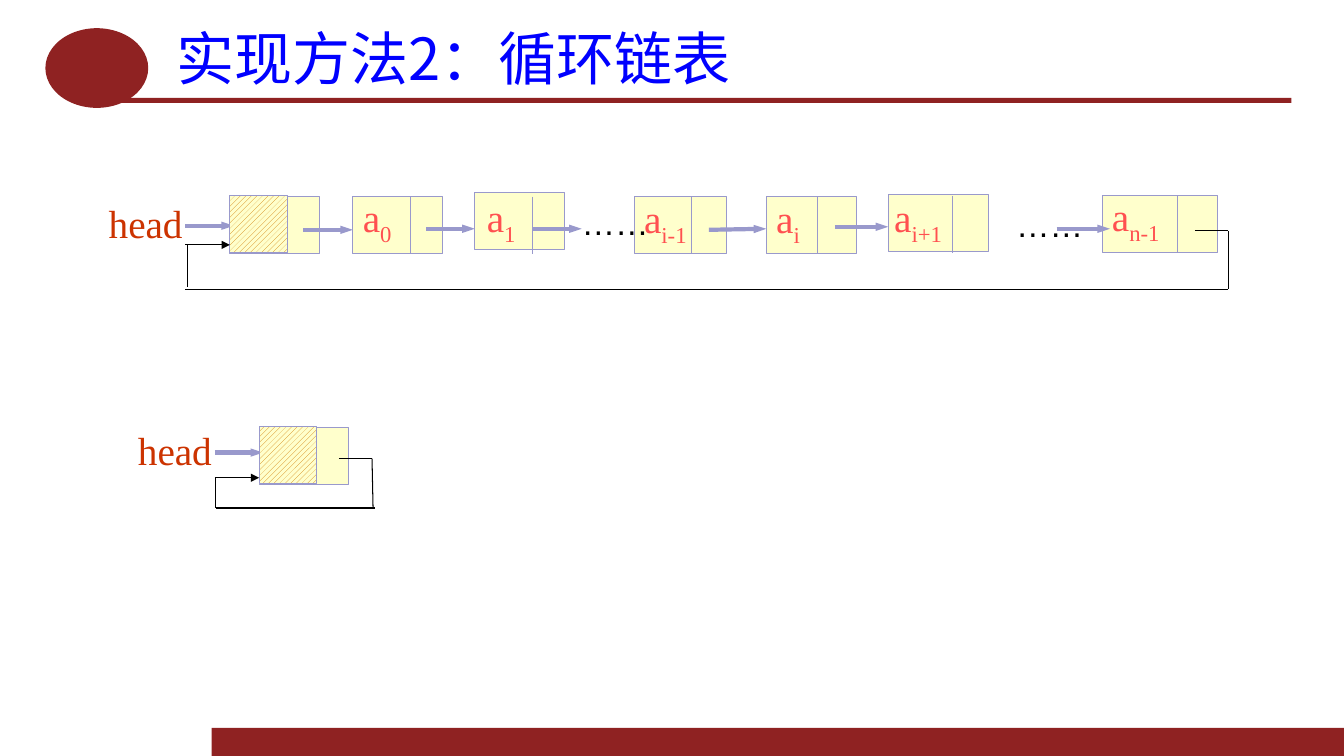
from lxml import etree
from pptx import Presentation
from pptx.dml.color import RGBColor
from pptx.enum.dml import MSO_PATTERN
from pptx.enum.shapes import MSO_CONNECTOR, MSO_SHAPE
from pptx.enum.text import MSO_ANCHOR, MSO_AUTO_SIZE, PP_ALIGN
from pptx.oxml.ns import qn
from pptx.util import Inches, Pt

RECTANGLE, OVAL = MSO_SHAPE.RECTANGLE, MSO_SHAPE.OVAL
STRAIGHT = MSO_CONNECTOR.STRAIGHT
HATCH = MSO_PATTERN.WIDE_UPWARD_DIAGONAL


class Theme:
    brand, title, head, label = "8F2222", "0000FF", "CC3300", "FF5050"
    cell, edge, hatch, ink = "FFFFCC", "9999CC", "D07E06", "000000"
    title_font, label_font, dots_font = "Noto Sans CJK SC", "Times New Roman", "Arial"
    title_size, label_size, dots_size = 41.4, 28, 24
    thin, thick = 0.75, 3


# Content: lengths in inches
TITLE = "实现方法2：循环链表"
DECORATION = [  # shape, left, top, width, height
    (RECTANGLE, 2.1, 7.22, 11.23, 0.28),
    (RECTANGLE, 1.18, 0.97, 11.63, 0.05),
    (OVAL, 0.45, 0.28, 1.02, 0.79),
]
CELL_HEIGHT, HEAD_WIDTH, HEAD_DATA_WIDTH = 0.57, 0.89, 0.57
HEAD_NODES = [  # node left, node top, label top
    (2.28, 1.95, 1.93),
    (2.57, 4.24, 4.18),
]
NODES = [  # index, left, top, width, divider x, divider top
    ("0", 3.5, 1.95, 0.89, 4.07, 1.95),
    ("1", 4.71, 1.91, 0.89, 5.28, 1.95),
    ("i-1", 6.29, 1.95, 0.92, 6.86, 1.95),
    ("i", 7.6, 1.95, 0.9, 8.11, 1.95),
    ("i+1", 8.81, 1.93, 0.99, 9.45, 1.94),
    ("n-1", 10.93, 1.94, 1.15, 11.68, 1.94),
]
LABELS = [  # index, left, top, width, wrap
    ("0", 3.5, 1.87, 0.51, False),
    ("1", 4.73, 1.87, 0.51, False),
    ("i-1", 6.29, 1.88, 0.67, False),
    ("i", 7.6, 1.88, 0.45, False),
    ("i+1", 8.77, 1.87, 0.73, False),
    ("n-1", 10.93, 1.86, 0.95, True),
]
NEXT_LINKS = [  # x1, y1, x2, y2
    (3.01, 2.28, 3.5, 2.28),
    (4.23, 2.27, 4.71, 2.27),
    (5.28, 2.27, 5.77, 2.27),
    (7.03, 2.28, 7.6, 2.27),
    (8.28, 2.25, 8.81, 2.25),
    (10.48, 2.27, 11.01, 2.27),
]
DOTS = [(5.67, 1.95), (9.98, 1.97)]
RETURN_LINKS = [  # segments from the last node back to the head; the last has the arrow
    [(11.85, 2.29, 12.18, 2.29), (12.18, 2.29, 12.18, 2.87), (1.84, 2.87, 12.18, 2.87),
     (1.86, 2.43, 1.86, 2.85), (1.84, 2.43, 2.28, 2.43)],
    [(3.36, 4.55, 3.69, 4.55), (3.69, 4.55, 3.7, 5.04), (2.14, 5.04, 3.72, 5.04),
     (2.14, 4.74, 2.14, 5.04), (2.13, 4.74, 2.57, 4.74)],
]


def rgb(value):
    return RGBColor.from_string(value)


def add_text(frame, text, *, size, font, color, subscript="", wrap=False, align=PP_ALIGN.LEFT):
    frame.word_wrap = wrap
    paragraph = frame.paragraphs[0]
    paragraph.alignment = align
    for part in filter(None, (text, subscript)):
        run = paragraph.add_run()
        run.text = part
        run.font.size = Pt(size)
        run.font.name = font
        run.font.color.rgb = rgb(color)
        properties = run.font._element
        etree.SubElement(properties, qn("a:ea")).set("typeface", font)
        if part is subscript:
            properties.set("baseline", "-25000")


def add_box(slide, left, top, width, text, **text_format):
    height = 0.5 if text_format["size"] == Theme.dots_size else 0.57
    box = slide.shapes.add_textbox(Inches(left), Inches(top), Inches(width), Inches(height))
    box.text_frame.auto_size = MSO_AUTO_SIZE.SHAPE_TO_FIT_TEXT
    add_text(box.text_frame, text, **text_format)


def add_block(slide, kind, left, top, width, height, fill, edge=None, hatch=None):
    shape = slide.shapes.add_shape(kind, Inches(left), Inches(top), Inches(width), Inches(height))
    shape.shadow.inherit = False
    if hatch:
        shape.fill.patterned()
        shape.fill.pattern = HATCH
        shape.fill.fore_color.rgb = rgb(hatch)
        shape.fill.back_color.rgb = rgb(fill)
    else:
        shape.fill.solid()
        shape.fill.fore_color.rgb = rgb(fill)
    if edge:
        shape.line.color.rgb = rgb(edge)
        shape.line.width = Pt(Theme.thin)
    else:
        shape.line.fill.background()


def add_line(slide, points, color, width=Theme.thin, arrow_width=None):
    line = slide.shapes.add_connector(STRAIGHT, *(Inches(value) for value in points))
    line.line.color.rgb = rgb(color)
    line.line.width = Pt(width)
    properties = line._element.spPr
    if arrow_width:
        arrow = etree.SubElement(properties.find(qn("a:ln")), qn("a:tailEnd"))
        arrow.set("type", "triangle")
        arrow.set("w", arrow_width)
        arrow.set("len", "med")
    etree.SubElement(properties, qn("a:effectLst"))


def add_pointer(slide, points):
    add_line(slide, points, Theme.edge, Theme.thick, arrow_width="sm")


def add_node(slide, left, top, width, divider, divider_top):
    add_block(slide, RECTANGLE, left, top, width, CELL_HEIGHT, Theme.cell, Theme.edge)
    add_line(slide, (divider, divider_top, divider, divider_top + CELL_HEIGHT), Theme.edge)


def add_head(slide, left, top, label_top):
    add_box(slide, left - 1.3, label_top, 0.94, "head",
            size=Theme.label_size, font=Theme.label_font, color=Theme.head)
    pointer_y = label_top + 0.31
    add_pointer(slide, (left - 0.44, pointer_y, left + 0.04, pointer_y))
    add_node(slide, left, top, HEAD_WIDTH, left + HEAD_DATA_WIDTH, top)
    add_block(slide, RECTANGLE, left, top - 0.01, HEAD_DATA_WIDTH, CELL_HEIGHT,
              Theme.cell, Theme.edge, Theme.hatch)


def main():
    presentation = Presentation()
    presentation.slide_width, presentation.slide_height = Inches(13.33), Inches(7.5)
    slide = presentation.slides.add_slide(presentation.slide_layouts[5])

    # Title and decoration
    for kind, *bounds in DECORATION:
        add_block(slide, kind, *bounds, Theme.brand)
    title = slide.shapes.title
    title.left, title.top, title.width, title.height = map(Inches, (1.62, 0.21, 11.19, 0.71))
    frame = title.text_frame
    frame.auto_size = MSO_AUTO_SIZE.NONE
    frame.vertical_anchor = MSO_ANCHOR.MIDDLE
    frame.margin_left = frame.margin_right = Inches(0.13)
    frame.margin_top = frame.margin_bottom = Inches(0.06)
    add_text(frame, TITLE, size=Theme.title_size, font=Theme.title_font, color=Theme.title,
             wrap=True, align=PP_ALIGN.JUSTIFY)

    # Nodes and the links between them
    for head in HEAD_NODES:
        add_head(slide, *head)
    for _, *geometry in NODES:
        add_node(slide, *geometry)
    for points in NEXT_LINKS:
        add_pointer(slide, points)

    # Links back to the head
    for segments in RETURN_LINKS:
        for points in segments:
            add_line(slide, points, Theme.ink,
                     arrow_width="med" if points is segments[-1] else None)

    # Labels
    for index, left, top, width, wrap in LABELS:
        add_box(slide, left, top, width, "a", subscript=index, wrap=wrap,
                size=Theme.label_size, font=Theme.label_font, color=Theme.label)
    for left, top in DOTS:
        add_box(slide, left, top, 0.88, "……", wrap=True,
                size=Theme.dots_size, font=Theme.dots_font, color=Theme.ink)

    presentation.save("out.pptx")


if __name__ == "__main__":
    main()
